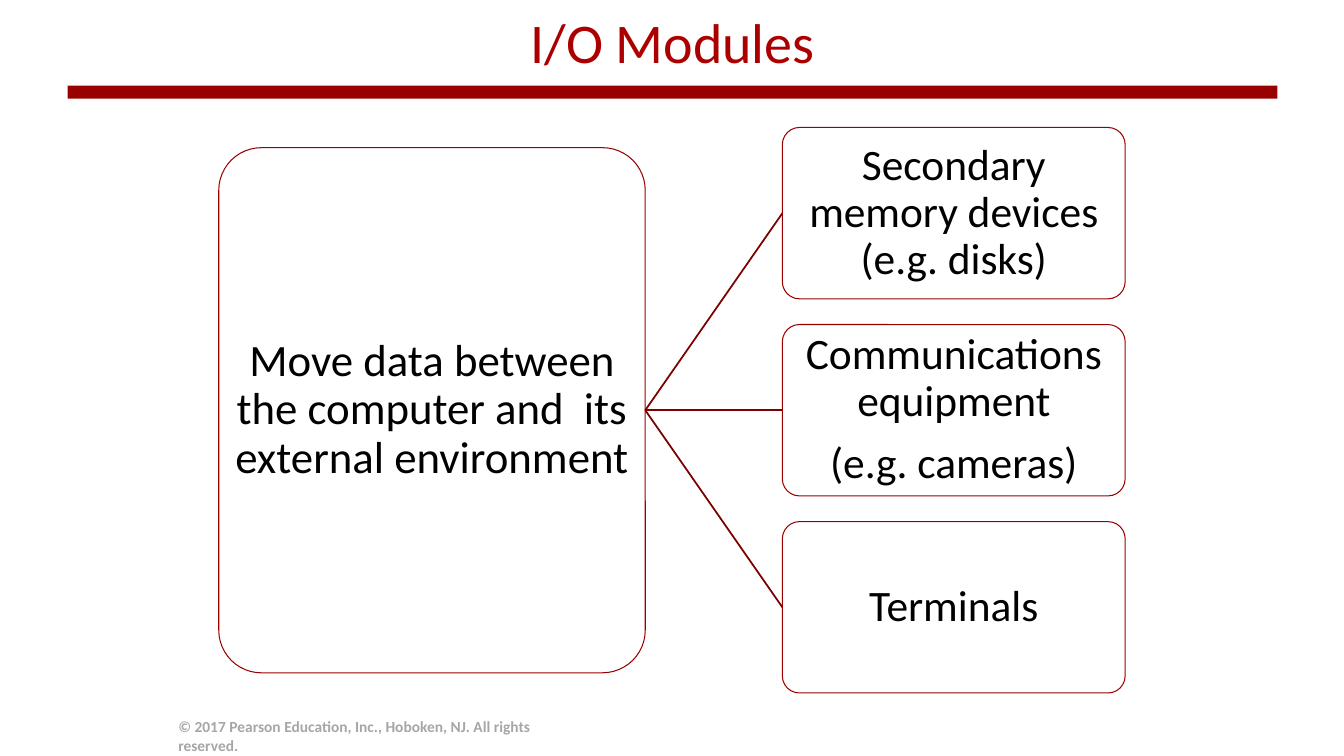
from dataclasses import dataclass

from lxml import etree
from pptx import Presentation
from pptx.dml.color import RGBColor
from pptx.enum.shapes import MSO_CONNECTOR, MSO_SHAPE
from pptx.enum.text import MSO_ANCHOR, MSO_AUTO_SIZE, PP_ALIGN
from pptx.oxml.ns import qn
from pptx.util import Inches, Pt

RECTANGLE = MSO_SHAPE.RECTANGLE
ROUNDED = MSO_SHAPE.ROUNDED_RECTANGLE
STRAIGHT = MSO_CONNECTOR.STRAIGHT
MIDDLE, BOTTOM = MSO_ANCHOR.MIDDLE, MSO_ANCHOR.BOTTOM
CENTER, LEFT = PP_ALIGN.CENTER, PP_ALIGN.LEFT
NO_FIT = MSO_AUTO_SIZE.NONE
TITLE_ONLY = 5


@dataclass(frozen=True)
class Theme:
    font: str = "Calibri"
    title: RGBColor = RGBColor(0xAC, 0x00, 0x00)
    accent: RGBColor = RGBColor(0x99, 0x00, 0x00)
    branch: RGBColor = RGBColor(0x7B, 0x00, 0x00)
    box: RGBColor = RGBColor(0xFF, 0xFF, 0xFF)
    text: RGBColor = RGBColor(0x00, 0x00, 0x00)
    footer: RGBColor = RGBColor(0xA6, 0xA6, 0xA6)
    title_size: int = 40
    main_size: int = 32
    device_size: int = 31
    footer_size: int = 11


THEME = Theme()

MAIN_TEXT = ["Move data between the computer and  its external environment"]
DEVICES = [
    ["Secondary memory devices (e.g. disks)"],
    ["Communications equipment", "(e.g. cameras)"],
    ["Terminals"],
]
COPYRIGHT = "© 2017 Pearson Education, Inc., Hoboken, NJ. All rights reserved."

# Horizontal tree: one main box, a column of device boxes, a shared middle line
MAIN_LEFT, MAIN_WIDTH, MAIN_HEIGHT = 2.17, 4.23, 5.21
DEVICE_LEFT, DEVICE_WIDTH, DEVICE_HEIGHT = 7.76, 3.4, 1.7
DEVICE_STEP = 1.955
MIDDLE_Y = 4.07


def format_paragraph(paragraph, size, color, align=CENTER, bold=False):
    paragraph.alignment = align
    paragraph.font.name = THEME.font
    paragraph.font.size = Pt(size)
    paragraph.font.bold = bold
    paragraph.font.color.rgb = color


def set_frame(frame, anchor, side, top):
    frame.word_wrap = True
    frame.auto_size = NO_FIT
    frame.vertical_anchor = anchor
    frame.margin_left = frame.margin_right = Inches(side)
    frame.margin_top = frame.margin_bottom = Inches(top)


def add_title(page, text):
    title = page.shapes.title
    title.left, title.top = Inches(0.67), Inches(0.14)
    title.width, title.height = Inches(12), Inches(0.6)
    title.text = text
    set_frame(title.text_frame, BOTTOM, 0.1, 0)
    paragraph = title.text_frame.paragraphs[0]
    paragraph.line_spacing = Pt(54)
    format_paragraph(paragraph, THEME.title_size, THEME.title)


def add_rule(page):
    rule = page.shapes.add_shape(RECTANGLE, Inches(0.67), Inches(0.85), Inches(12), Inches(0.13))
    rule.shadow.inherit = False
    rule.fill.solid()
    rule.fill.fore_color.rgb = THEME.accent
    rule.line.fill.background()


def add_box(page, left, middle, width, height, lines, size):
    """Add a rounded box centred vertically on middle, one paragraph per line."""
    box = page.shapes.add_shape(
        ROUNDED, Inches(left), Inches(middle - height / 2), Inches(width), Inches(height))
    box.adjustments[0] = 0.1
    box.shadow.inherit = False
    box.fill.solid()
    box.fill.fore_color.rgb = THEME.box
    box.line.color.rgb = THEME.accent
    box.line.width = Pt(0.75)
    frame = box.text_frame
    set_frame(frame, MIDDLE, 0.02, 0.02)
    frame.text = "\n".join(lines)
    for index, paragraph in enumerate(frame.paragraphs):
        paragraph.line_spacing = 0.9
        if index:
            paragraph.space_before = Pt(11)
        format_paragraph(paragraph, size, THEME.text)


def add_branch(page, end_y):
    branch = page.shapes.add_connector(
        STRAIGHT, Inches(MAIN_LEFT + MAIN_WIDTH), Inches(MIDDLE_Y),
        Inches(DEVICE_LEFT), Inches(end_y))
    branch.line.color.rgb = THEME.branch
    branch.line.width = Pt(1.25)
    etree.SubElement(branch._element.spPr, qn("a:effectLst"))


def add_copyright(page, text):
    box = page.shapes.add_textbox(Inches(1.67), Inches(7.1), Inches(3.74), Inches(0.4))
    set_frame(box.text_frame, MIDDLE, 0.1, 0.05)
    box.text_frame.text = text
    format_paragraph(box.text_frame.paragraphs[0], THEME.footer_size, THEME.footer, LEFT, True)


def main():
    deck = Presentation()
    deck.slide_width, deck.slide_height = Inches(13.33), Inches(7.5)
    page = deck.slides.add_slide(deck.slide_layouts[TITLE_ONLY])

    # Heading
    add_rule(page)
    add_title(page, "I/O Modules")

    # Tree from the main idea to the devices
    add_box(page, MAIN_LEFT, MIDDLE_Y, MAIN_WIDTH, MAIN_HEIGHT, MAIN_TEXT, THEME.main_size)
    for index, lines in enumerate(DEVICES):
        device_y = MIDDLE_Y + (index - 1) * DEVICE_STEP
        add_branch(page, device_y)
        add_box(page, DEVICE_LEFT, device_y, DEVICE_WIDTH, DEVICE_HEIGHT, lines,
                THEME.device_size)

    # Footer
    add_copyright(page, COPYRIGHT)
    deck.save("out.pptx")


if __name__ == "__main__":
    main()
